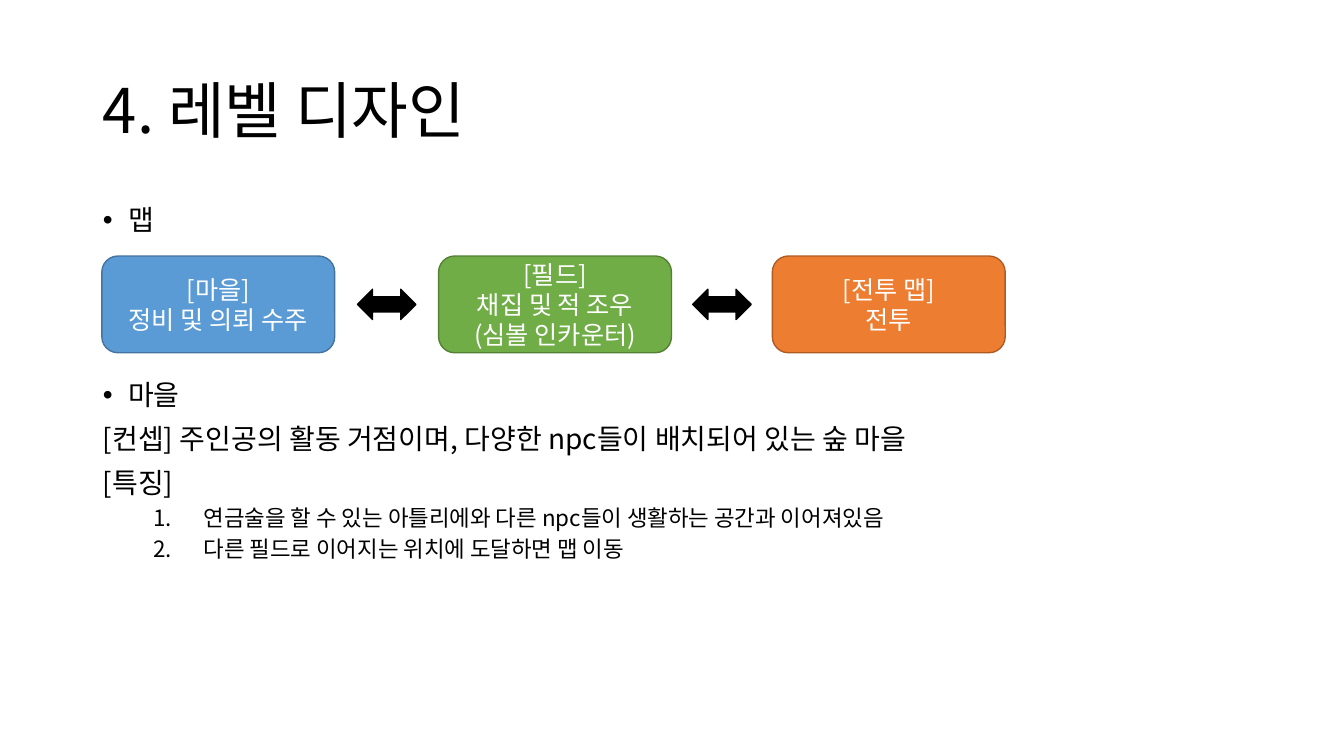
"""Build the level design slide with its map flow and village notes."""
from lxml import etree
from pptx import Presentation
from pptx.dml.color import RGBColor
from pptx.enum.shapes import MSO_SHAPE
from pptx.enum.text import MSO_ANCHOR, MSO_AUTO_SIZE, PP_ALIGN
from pptx.oxml.ns import qn
from pptx.util import Inches, Pt

LEFT, CENTER = PP_ALIGN.LEFT, PP_ALIGN.CENTER
TOP, MIDDLE = MSO_ANCHOR.TOP, MSO_ANCHOR.MIDDLE
NO_FIT = MSO_AUTO_SIZE.NONE
ROUNDED, TWO_WAY = MSO_SHAPE.ROUNDED_RECTANGLE, MSO_SHAPE.LEFT_RIGHT_ARROW
FONT = "Noto Sans CJK KR"
BLACK, WHITE = "000000", "FFFFFF"

TITLE = "4. 레벨 디자인"
MAPS = [
    (1.01, "[마을]\n정비 및 의뢰 수주", "5B9BD5", "43739E"),
    (4.35, "[필드]\n채집 및 적 조우\n(심볼 인카운터)", "70AD47", "538035"),
    (7.66, "[전투 맵]\n전투", "ED7D31", "AF5C24"),
]
MAP_TOP, MAP_WIDTH, MAP_HEIGHT = 2.54, 2.31, 0.96
ARROW_WIDTH, ARROW_HEIGHT = 0.58, 0.3

BULLET = dict(size=20, before=10, bullet="•", margin=0.25, indent=-0.25)
PLAIN = dict(size=20, before=10)
NUMBERED = dict(size=16, before=5, numbered=True, margin=1, indent=-0.5, level=1)
MAP_LIST = [("맵", BULLET)]
VILLAGE_LIST = [
    ("마을", BULLET),
    ("[컨셉] 주인공의 활동 거점이며, 다양한 npc들이 배치되어 있는 숲 마을", PLAIN),
    ("[특징]", PLAIN),
    ("연금술을 할 수 있는 아틀리에와 다른 npc들이 생활하는 공간과 이어져있음", NUMBERED),
    ("다른 필드로 이어지는 위치에 도달하면 맵 이동", NUMBERED),
]


def color(value):
    return RGBColor.from_string(value)


def place(box, left, top, width, height):
    box.left, box.top = Inches(left), Inches(top)
    box.width, box.height = Inches(width), Inches(height)


def write(para, text, size, fill=BLACK, align=LEFT, before=0, spacing=0.9,
          bullet=None, numbered=False, margin=0, indent=0, level=0):
    para.text = text
    para.level = level
    para.alignment = align
    para.line_spacing = spacing
    para.space_before = Pt(before)
    properties = para._p.get_or_add_pPr()
    properties.set("marL", str(Inches(margin)))
    properties.set("indent", str(Inches(indent)))
    if bullet:
        etree.SubElement(properties, qn("a:buFont"), typeface="Arial")
        etree.SubElement(properties, qn("a:buChar"), char=bullet)
    elif numbered:
        etree.SubElement(properties, qn("a:buFont"), typeface=FONT)
        etree.SubElement(properties, qn("a:buAutoNum"), type="arabicPeriod")
    else:
        etree.SubElement(properties, qn("a:buNone"))
    for span in para.runs:
        span.font.size = Pt(size)
        span.font.color.rgb = color(fill)
        span.font.name = FONT
        etree.SubElement(span._r.get_or_add_rPr(), qn("a:ea"), typeface=FONT)


def fill_list(box, items):
    frame = box.text_frame
    frame.auto_size = NO_FIT
    frame.vertical_anchor = TOP
    for index, (text, style) in enumerate(items):
        para = frame.add_paragraph() if index else frame.paragraphs[0]
        write(para, text, **(style if index else {**style, "before": 0}))


def add_block(page, kind, left, top, width, height, fill, line):
    block = page.shapes.add_shape(
        kind, Inches(left), Inches(top), Inches(width), Inches(height))
    block.shadow.inherit = False
    block.fill.solid()
    block.fill.fore_color.rgb = color(fill)
    block.line.color.rgb = color(line)
    block.line.width = Pt(1)
    return block


def main():
    deck = Presentation()
    deck.slide_width, deck.slide_height = Inches(13.33), Inches(7.5)
    page = deck.slides.add_slide(deck.slide_layouts.get_by_name("Two Content"))
    title, map_list, village_list = list(page.placeholders)[:3]

    place(title, 0.92, 0.4, 11.5, 1.45)
    title.text_frame.auto_size = NO_FIT
    title.text_frame.vertical_anchor = MIDDLE
    write(title.text_frame.paragraphs[0], TITLE, 44)

    place(map_list, 0.92, 2, 1.82, 0.43)
    fill_list(map_list, MAP_LIST)
    place(village_list, 0.92, 3.73, 11.15, 3.28)
    fill_list(village_list, VILLAGE_LIST)

    for left, text, fill, line in MAPS:
        block = add_block(page, ROUNDED, left, MAP_TOP, MAP_WIDTH, MAP_HEIGHT, fill, line)
        block.text_frame.vertical_anchor = MIDDLE
        write(block.text_frame.paragraphs[0], text, 18, WHITE, CENTER, spacing=1.0)

    arrow_top = MAP_TOP + (MAP_HEIGHT - ARROW_HEIGHT) / 2
    for before, after in zip(MAPS, MAPS[1:]):
        middle = (before[0] + MAP_WIDTH + after[0]) / 2
        add_block(page, TWO_WAY, middle - ARROW_WIDTH / 2, arrow_top,
                  ARROW_WIDTH, ARROW_HEIGHT, BLACK, BLACK)

    deck.save("out.pptx")


if __name__ == "__main__":
    main()
